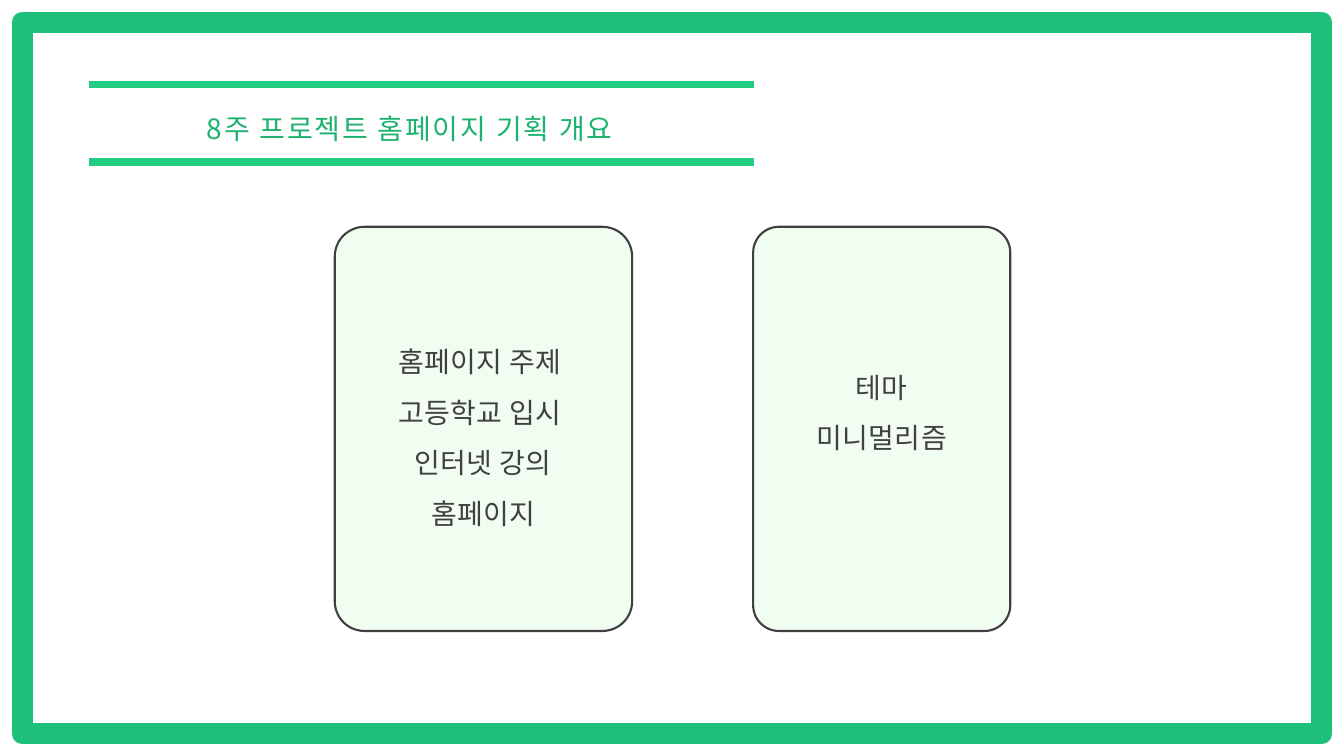
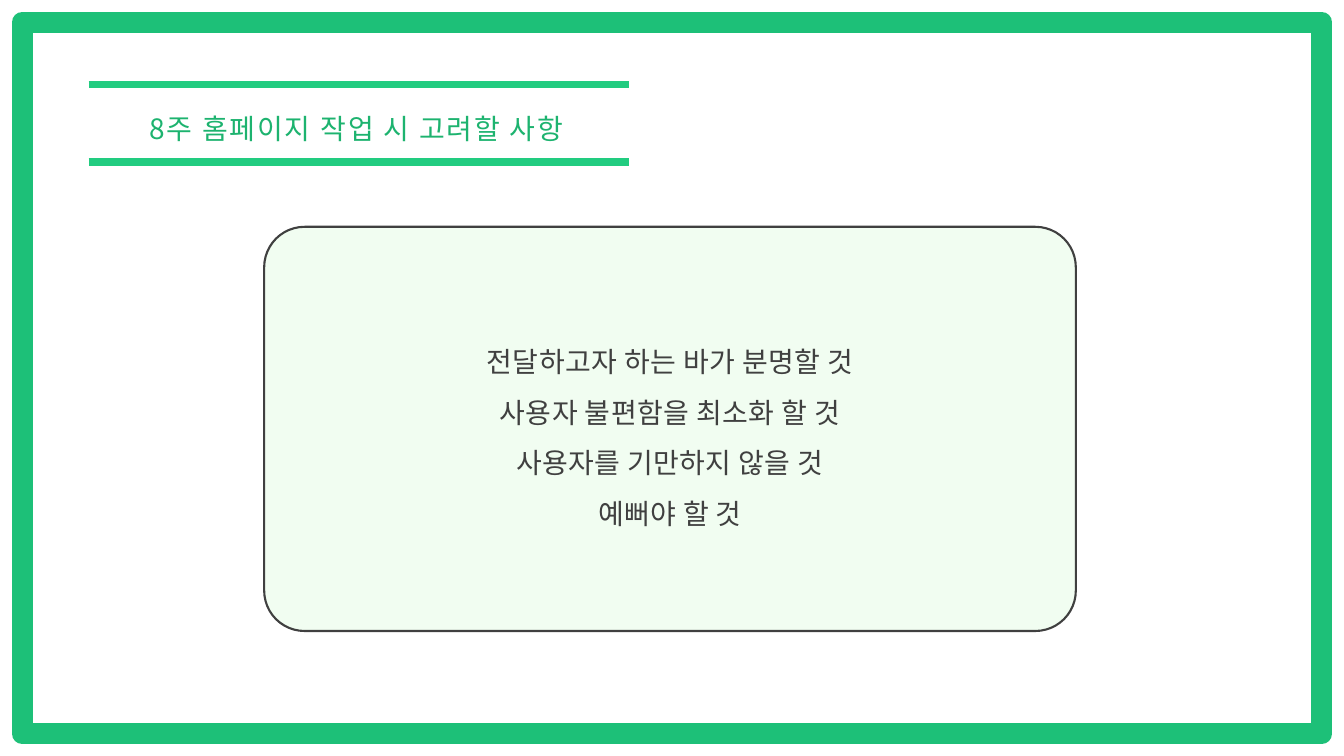
from dataclasses import dataclass

from lxml.etree import SubElement
from pptx import Presentation
from pptx.dml.color import RGBColor
from pptx.enum.shapes import MSO_CONNECTOR as LINE, MSO_SHAPE as SHAPE
from pptx.enum.text import MSO_ANCHOR as ANCHOR, PP_ALIGN as ALIGN
from pptx.oxml.ns import qn
from pptx.util import Pt

SCALE = 9144  # EMU in one px, 100 px to the inch
WIDE, HIGH = 1333, 750


@dataclass(frozen=True)
class Theme:
    font: str = "Noto Sans CJK KR"
    size: int = 20
    paper: str = "FFFFFF"
    frame: str = "1DC078"
    title: str = "1DB36F"
    rule: str = "22CC80"
    card: str = "F1FDF1"
    ink: str = "404040"


def px(*nums):
    return [num * SCALE for num in nums]


def rgb(code):
    return RGBColor.from_string(code)


def put(item, values):
    for name, value in values.items():
        setattr(item, name, value)


class Deck:
    def __init__(self, theme):
        self.theme = theme
        self.show = Presentation()
        self.show.slide_width, self.show.slide_height = px(WIDE, HIGH)
        self.slide = None

    def page(self, title, width, inset=10):
        """Start a slide with its frame and a title between two rules."""
        look = self.theme
        self.slide = self.show.slides.add_slide(self.show.slide_layouts[6])
        self.box(SHAPE.RECTANGLE, (22, 22, 1289, 706), None, look.frame, 15)
        band = self.box(SHAPE.RECTANGLE, (81, 91, width, 66), look.paper)
        self.text(band, [title], look.title, 1.2, (10, 5, inset, 5), 125)
        for top in (161, 84):
            self.rule(88, 79 + width, top)

    def box(self, kind, place, fill=None, edge=None, weight=0):
        shape = self.slide.shapes.add_shape(kind, *px(*place))
        shape.shadow.inherit = False
        for part, code in ((shape.fill, fill), (shape.line.fill, edge)):
            if code:
                part.solid()
                part.fore_color.rgb = rgb(code)
            else:
                part.background()
        if edge:
            shape.line.width = Pt(weight)
        return shape

    def rule(self, left, right, top):
        line = self.slide.shapes.add_connector(
            LINE.STRAIGHT, *px(left, top, right, top))
        line.line.color.rgb = rgb(self.theme.rule)
        line.line.width = Pt(5.5)
        SubElement(line._element.spPr, qn("a:effectLst"))

    def text(self, shape, lines, color, lead, inset, track):
        """Centre the lines; inset is left, top, right, bottom."""
        frame = shape.text_frame
        left, top, right, low = px(*inset)
        put(frame, dict(word_wrap=True, vertical_anchor=ANCHOR.MIDDLE,
                        margin_left=left, margin_top=top,
                        margin_right=right, margin_bottom=low))
        for i, words in enumerate(lines):
            para = frame.add_paragraph() if i else frame.paragraphs[0]
            put(para, dict(alignment=ALIGN.CENTER, line_spacing=lead))
            run = para.add_run()
            run.text = words
            put(run.font, dict(name=self.theme.font, size=Pt(self.theme.size)))
            run.font.color.rgb = rgb(color)
            props = run._r.get_or_add_rPr()
            SubElement(props, qn("a:ea"), typeface=self.theme.font)
            props.set("spc", str(track))

    def card(self, left, width, lines, low=5):
        look = self.theme
        shape = self.box(SHAPE.ROUNDED_RECTANGLE, (left, 225, width, 401),
                         look.card, look.ink, 1.5)
        shape.adjustments[0] = 0.1
        self.text(shape, lines, look.ink, 1.5, (22, 5, 22, low), 25)


def main():
    deck = Deck(Theme())

    deck.page("8주 프로젝트 홈페이지 기획 개요", 669, inset=28)
    deck.card(332, 295, ["홈페이지 주제 ", "고등학교 입시 ", "인터넷 강의 홈페이지"])
    deck.card(747, 255, ["테마", "미니멀리즘"], low=55)

    deck.page("8주 홈페이지 작업 시 고려할 사항", 545)
    deck.card(262, 805, ["전달하고자 하는 바가 분명할 것", "사용자 불편함을 최소화 할 것",
                         "사용자를 기만하지 않을 것", "예뻐야 할 것"])

    deck.show.save("out.pptx")


if __name__ == "__main__":
    main()
